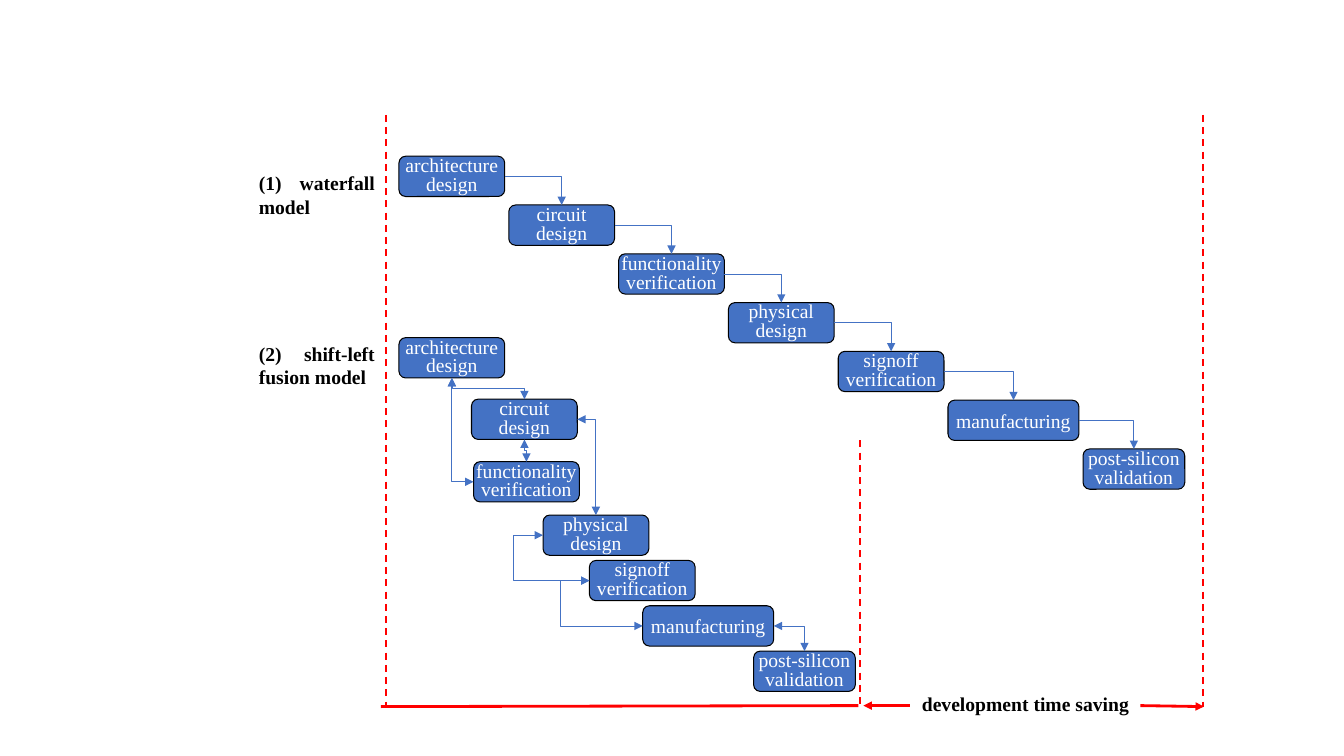
from lxml.etree import SubElement
from pptx import Presentation
from pptx.dml.color import RGBColor
from pptx.enum.dml import MSO_LINE
from pptx.enum.shapes import MSO_CONNECTOR, MSO_SHAPE
from pptx.enum.text import MSO_ANCHOR, PP_ALIGN
from pptx.oxml.ns import qn
from pptx.util import Inches, Pt

BLUE = RGBColor(0x44, 0x72, 0xC4)
RED = RGBColor(0xFF, 0x00, 0x00)
BLACK = RGBColor(0x00, 0x00, 0x00)
WHITE = RGBColor(0xFF, 0xFF, 0xFF)
FONT = "Times New Roman"
STAGE_HEIGHT = 0.4
LOOP_DEPTH = 0.29
STAGES = [
    ("architecture design", 1.05),
    ("circuit design", 1.05),
    ("functionality verification", 1.05),
    ("physical design", 1.05),
    ("signoff verification", 1.05),
    ("manufacturing", 1.3),
    ("post-silicon validation", 1.01),
]


def add_text(paragraph, text, color, alignment, bold=False):
    paragraph.alignment = alignment
    run = paragraph.add_run()
    run.text = text
    run.font.name = FONT
    run.font.size = Pt(14)
    run.font.bold = bold
    run.font.color.rgb = color


def add_label(slide, text, left, top, width, height, alignment):
    shape = slide.shapes.add_textbox(Inches(left), Inches(top), Inches(width), Inches(height))
    shape.text_frame.word_wrap = True
    add_text(shape.text_frame.paragraphs[0], text, BLACK, alignment, bold=True)


def add_stage(slide, text, left, top, width):
    shape = slide.shapes.add_shape(
        MSO_SHAPE.ROUNDED_RECTANGLE,
        Inches(left), Inches(top), Inches(width), Inches(STAGE_HEIGHT))
    shape.shadow.inherit = False
    shape.fill.solid()
    shape.fill.fore_color.rgb = BLUE
    shape.line.color.rgb = BLACK
    shape.line.width = Pt(0.75)
    frame = shape.text_frame
    frame.word_wrap = True
    frame.vertical_anchor = MSO_ANCHOR.MIDDLE
    frame.margin_left = frame.margin_right = frame.margin_top = frame.margin_bottom = 0
    paragraph = frame.paragraphs[0]
    if " " in text:
        paragraph.line_spacing = 0.8
    add_text(paragraph, text, WHITE, PP_ALIGN.CENTER)
    return left, top, width


def side(stage, name):
    left, top, width = stage
    across, down = {"left": (0, 0.5), "right": (1, 0.5),
                    "top": (0.5, 0), "bottom": (0.5, 1)}[name]
    return left + across * width, top + down * STAGE_HEIGHT


def add_line(slide, start, end, color, width, kind=MSO_CONNECTOR.STRAIGHT,
             head=False, tail=False, dashed=False):
    connector = slide.shapes.add_connector(
        kind, Inches(start[0]), Inches(start[1]), Inches(end[0]), Inches(end[1]))
    connector.line.color.rgb = color
    connector.line.width = Pt(width)
    if dashed:
        connector.line.dash_style = MSO_LINE.DASH
    outline = connector.line._get_or_add_ln()
    for tag, wanted in (("a:headEnd", head), ("a:tailEnd", tail)):
        if wanted:
            SubElement(outline, qn(tag), type="triangle")
    SubElement(connector._element.spPr, qn("a:effectLst"))
    return connector


def add_elbow(slide, start, end, route, both_ways=True):
    (x1, y1), (x2, y2) = start, end
    if route in ("down then across", "down and down"):
        middle_x, middle_y = (x1 + x2) / 2, (y1 + y2) / 2
        half_width, half_height = (y2 - y1) / 2, (x2 - x1) / 2
        start = middle_x - half_width, middle_y - half_height
        end = middle_x + half_width, middle_y + half_height
    connector = add_line(slide, start, end, BLUE, 0.5, MSO_CONNECTOR.ELBOW,
                         head=both_ways, tail=True)
    properties = connector._element.spPr
    geometry = properties.find(qn("a:prstGeom"))
    if route.startswith("down"):
        transform = properties.find(qn("a:xfrm"))
        transform.set("rot", "16200000")
        transform.set("flipH", "1")
    if "then" in route:
        geometry.set("prst", "bentConnector2")
    if route == "left loop":
        bend = round(-LOOP_DEPTH / (x2 - x1) * 100000)
        SubElement(geometry.find(qn("a:avLst")), qn("a:gd"), name="adj1", fmla=f"val {bend}")


def add_waterfall_model(slide, left, top):
    add_label(slide, "(1) waterfall model", left, top + 0.1, 1.35, 0.57, PP_ALIGN.JUSTIFY)
    stages = []
    stage_left = left + 1.49
    for index, (text, width) in enumerate(STAGES):
        stages.append(add_stage(slide, text, stage_left, top + 0.484 * index, width))
        stage_left += width + 0.04
    for stage, following in zip(stages, stages[1:]):
        add_elbow(slide, side(stage, "right"), side(following, "top"),
                  "across then down", both_ways=False)


def add_fusion_model(slide, left, top):
    add_label(slide, "(2) shift-left fusion model", left, top, 1.35, 0.57, PP_ALIGN.JUSTIFY)
    offsets = [(1.49, 0.01), (2.21, 0.62), (2.23, 1.24), (2.92, 1.77),
               (3.38, 2.22), (3.91, 2.67), (5.01, 3.12)]
    architecture, circuit, functionality, physical, signoff, manufacturing, validation = [
        add_stage(slide, text, left + across, top + down, width)
        for (text, width), (across, down) in zip(STAGES, offsets)]
    links = [
        (architecture, "bottom", circuit, "top", "down and down"),
        (architecture, "bottom", functionality, "left", "down then across"),
        (circuit, "bottom", functionality, "top", "down and down"),
        (circuit, "right", physical, "top", "across then down"),
        (physical, "left", signoff, "left", "left loop"),
        (signoff, "left", manufacturing, "left", "left loop"),
        (manufacturing, "right", validation, "top", "across then down"),
    ]
    for stage, exit_side, following, entry_side, route in links:
        add_elbow(slide, side(stage, exit_side), side(following, entry_side), route)


def add_time_frame(slide, left, top, width, height):
    right, bottom = left + width, top + height
    fusion_end = left + 4.71
    for x, y in ((left, top), (right, top), (fusion_end, top + 3.23)):
        add_line(slide, (x, y), (x, bottom), RED, 1.25, dashed=True)
    level = bottom - 0.01
    add_line(slide, (left - 0.05, bottom), (fusion_end - 0.02, level), RED, 2)
    add_line(slide, (fusion_end + 0.03, level), (fusion_end + 0.49, level), RED, 2, head=True)
    add_label(slide, "development time saving", fusion_end + 0.49, bottom - 0.19,
              2.3, 0.34, PP_ALIGN.CENTER)
    add_line(slide, (right - 0.62, level), (right + 0.01, bottom), RED, 2, tail=True)


def main():
    presentation = Presentation()
    presentation.slide_width = Inches(13.34)
    presentation.slide_height = Inches(7.5)
    slide = presentation.slides.add_slide(presentation.slide_layouts[6])
    add_time_frame(slide, 3.83, 1.14, 8.11, 5.87)
    add_waterfall_model(slide, 2.47, 1.55)
    add_fusion_model(slide, 2.47, 3.34)
    presentation.save("out.pptx")


if __name__ == "__main__":
    main()
